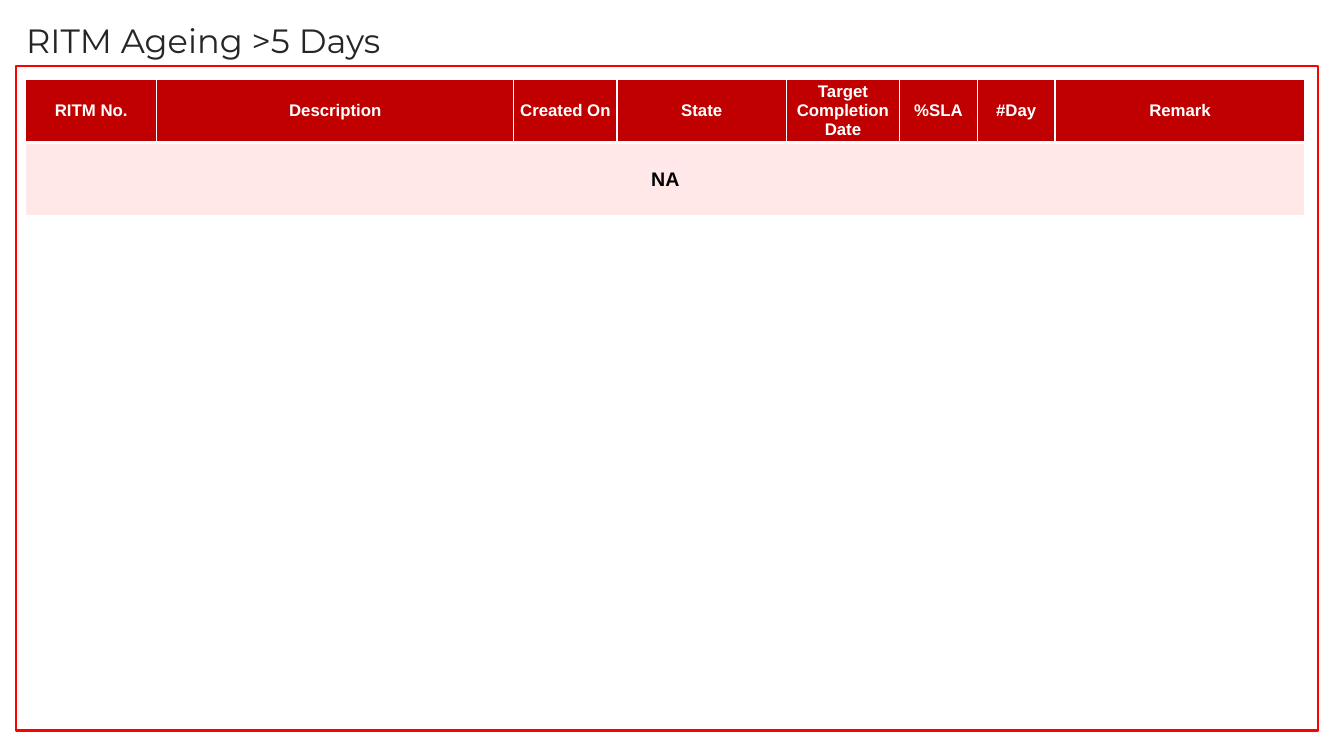
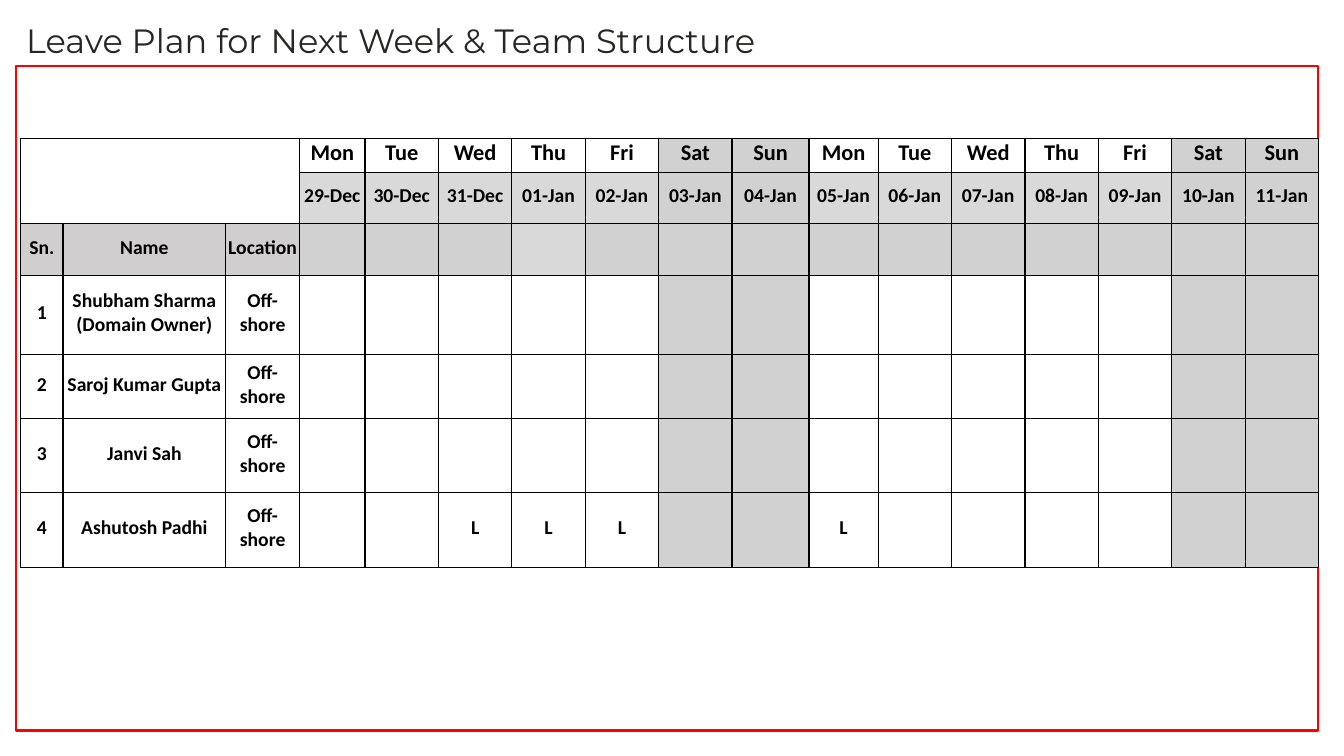
from lxml import etree
from pptx import Presentation
from pptx.dml.color import RGBColor
from pptx.enum import shapes, text
from pptx.oxml.ns import qn
from pptx.util import Cm, Pt

RED, DARK, PINK, FRAME = "C00000", "262625", "FFE8E7", "FF0000"
WHITE, BLACK = "FFFFFF", "000000"
WEEKEND, DATE_FILL, LABEL_FILL = "D1D1D1", "D9D9D9", "D0CECE"

TITLES = ["RITM Ageing >5 Days", "Leave Plan for Next Week & Team Structure"]

AGEING_COLS = [
    ("RITM No.", 3.3), ("Description", 9), ("Created On", 2.6), ("State", 4.27),
    ("Target Completion Date", 2.85), ("%SLA", 1.96), ("#Day", 1.96), ("Remark", 6.3),
]
AGEING_ROWS = [1.6, 1.85]

DAYS = ["Mon", "Tue", "Wed", "Thu", "Fri", "Sat", "Sun"] * 2
DATES = ["29-Dec", "30-Dec", "31-Dec", "01-Jan", "02-Jan", "03-Jan", "04-Jan",
         "05-Jan", "06-Jan", "07-Jan", "08-Jan", "09-Jan", "10-Jan", "11-Jan"]
LABELS = ["Sn.", "Name", "Location"]
HOLIDAY = "01-Jan"
TEAM = [
    ("Shubham Sharma\n(Domain Owner)", "Off-shore", []),
    ("Saroj Kumar Gupta", "Off-shore", []),
    ("Janvi Sah", "Off-shore", []),
    ("Ashutosh Padhi", "Off-shore", ["31-Dec", "01-Jan", "02-Jan", "05-Jan"]),
]
LABEL_WIDTHS = [1.07, 4.1, 1.86]
DAY_WIDTHS = [1.65] + [1.85] * 5 + [1.94, 1.74] + [1.85] * 6
LEAVE_ROWS = [0.86, 1.3, 1.3, 2, 1.6, 1.88, 1.88]


def rgb(value):
    return RGBColor.from_string(value)


def apply(obj, **values):
    for name, value in values.items():
        setattr(obj, name, value)


def style_run(r, size, font, color, bold=False):
    apply(r.font, size=Pt(size), name=font, bold=bold)
    r.font.color.rgb = rgb(color)


def add_base(prs, title):
    s = prs.slides.add_slide(prs.slide_layouts[6])
    sp = s.shapes.add_shape(shapes.MSO_SHAPE.RECTANGLE,
                            Cm(0.4), Cm(1.67), Cm(32.82), Cm(16.74))
    sp.shadow.inherit = False
    sp.fill.background()
    sp.line.color.rgb = rgb(FRAME)
    sp.line.width = Pt(1.5)
    tf = s.shapes.add_textbox(Cm(0.41), Cm(0.38), Cm(20.93), Cm(1.28)).text_frame
    tf.word_wrap = True
    r = tf.paragraphs[0].add_run()
    r.text = title
    style_run(r, 24, "Montserrat", DARK)
    return s


def add_grid(s, left, top, widths, heights):
    table = s.shapes.add_table(len(heights), len(widths), Cm(left), Cm(top),
                               Cm(sum(widths)), Cm(sum(heights))).table
    for col, width in zip(table.columns, widths):
        col.width = Cm(width)
    for row, height in zip(table.rows, heights):
        row.height = Cm(height)
    return table


def set_borders(cell, color, sides):
    tcPr = cell._tc.get_or_add_tcPr()
    for side, width in zip("LRTB", sides):
        ln = etree.SubElement(tcPr, qn(f"a:ln{side}"), w=str(Pt(width)))
        fill = etree.SubElement(ln, qn("a:solidFill"))
        etree.SubElement(fill, qn("a:srgbClr"), val=color)


def fill_cell(cell, words, size, font, color, fill, border, sides, margins):
    set_borders(cell, border, sides)
    if fill:
        cell.fill.solid()
        cell.fill.fore_color.rgb = rgb(fill)
    else:
        cell.fill.background()
    names = ("margin_left", "margin_top", "margin_right", "margin_bottom")
    apply(cell, vertical_anchor=text.MSO_ANCHOR.MIDDLE,
          **{name: Cm(m) for name, m in zip(names, margins)})
    cell.text = words
    for p in cell.text_frame.paragraphs:
        p.alignment = text.PP_ALIGN.CENTER
        for r in p.runs:
            style_run(r, size, font, color, True)
        if not p.runs:
            etree.SubElement(p._p, qn("a:endParaRPr"), sz=str(size * 100))


def ageing_slide(prs):
    s = add_base(prs, TITLES[0])
    table = add_grid(s, 0.65, 1.99, [w for _, w in AGEING_COLS], AGEING_ROWS)
    for c, (label, _) in enumerate(AGEING_COLS):
        fill_cell(table.cell(0, c), label, 12, "Arial", WHITE, RED,
                  WHITE, (1, 1, 1, 3), [0] * 4)
        fill_cell(table.cell(1, c), "" if c else "NA", 14, "Arial", BLACK, PINK,
                  WHITE, (1, 1, 3, 1), [0.13] * 4)
    table.cell(1, 0).merge(table.cell(1, len(AGEING_COLS) - 1))


def leave_slide(prs):
    s = add_base(prs, TITLES[1])
    table = add_grid(s, 0.52, 3.48, LABEL_WIDTHS + DAY_WIDTHS, LEAVE_ROWS)
    blank = [""] * len(LABELS)
    rows = [blank + DAYS, blank + DATES, LABELS + [""] * len(DAYS)]
    for n, (name, place, leave) in enumerate(TEAM, 1):
        rows.append([str(n), name, place] + ["L" if d in leave else "" for d in DATES])

    def fill_for(r, c):
        day = c - len(LABELS)
        if day < 0:
            return LABEL_FILL if r == 2 else None
        if DAYS[day] in ("Sat", "Sun"):
            return WEEKEND
        if r == 2:
            return DATE_FILL if DATES[day] == HOLIDAY else WEEKEND
        return DATE_FILL if r == 1 else None

    for r, row in enumerate(rows):
        for c, words in enumerate(row):
            fill_cell(table.cell(r, c), words, 14 if r else 16, "Calibri", BLACK,
                      fill_for(r, c), BLACK, [1] * 4, (0.02, 0.02, 0.02, 0.13))
    table.cell(0, 0).merge(table.cell(1, len(LABELS) - 1))


def main():
    prs = Presentation()
    apply(prs, slide_width=Cm(33.87), slide_height=Cm(19.05))
    ageing_slide(prs)
    leave_slide(prs)
    prs.save("out.pptx")


if __name__ == "__main__":
    main()
